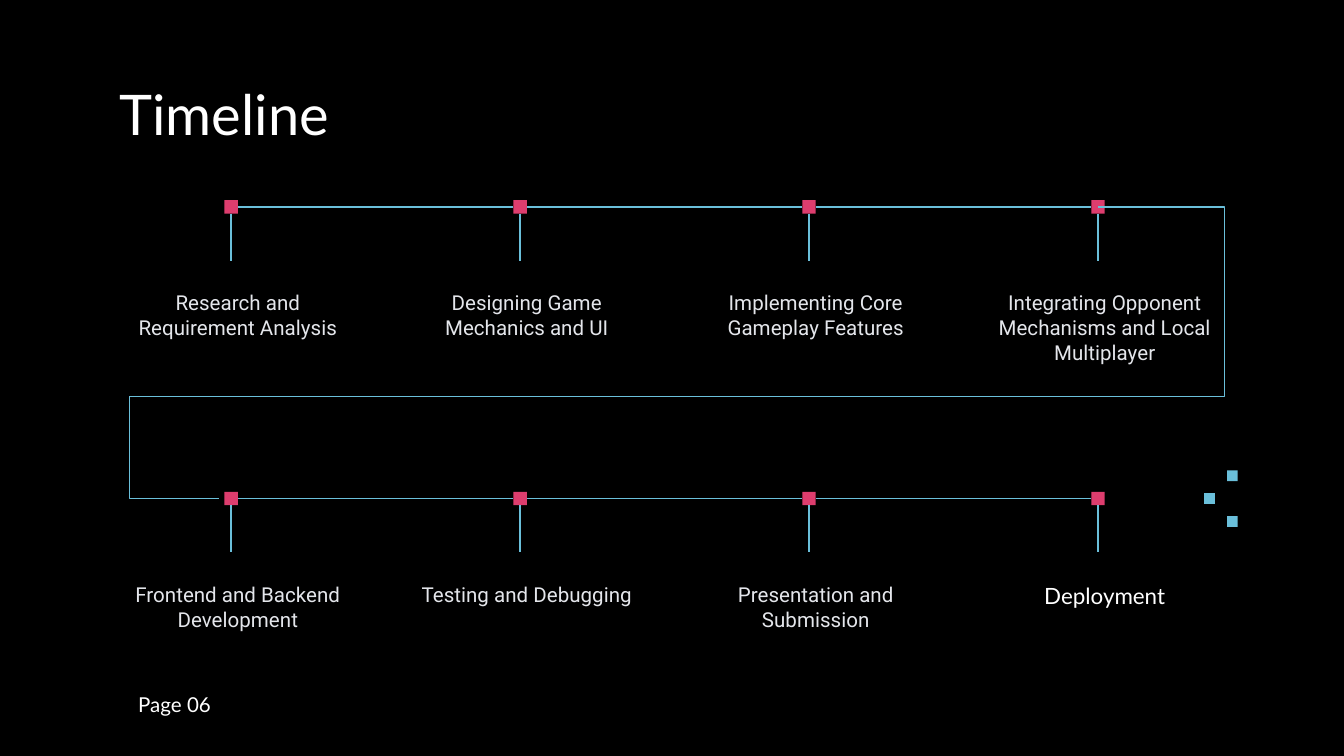
from lxml.etree import SubElement
from pptx import Presentation
from pptx.dml.color import RGBColor
from pptx.enum.shapes import MSO_CONNECTOR, MSO_SHAPE
from pptx.enum.text import MSO_ANCHOR, MSO_AUTO_SIZE, PP_ALIGN
from pptx.oxml.ns import qn
from pptx.util import Inches, Pt

BLACK, WHITE, GREY = "000000", "FFFFFF", "E4E6EB"
PINK, BLUE = "DD3D6E", "6ABFDA"
WIDTH = 10
HEIGHT = WIDTH * 9 / 16
COLUMN = 2.15
MARKER = 0.1
STEM = 0.35
LABEL_WIDTH, LABEL_HEIGHT = 1.98, 0.67
LABEL_DROP = 0.57
ROW_LEFT = 1.72 - COLUMN / 2
ROW_BOXES = [(ROW_LEFT, top, 4 * COLUMN, 1.24) for top in (1.49, 3.66)]
STEPS = [
    [
        ("Research and Requirement Analysis", 11, "Roboto", GREY),
        ("Designing Game Mechanics and UI", 11, "Roboto", GREY),
        ("Implementing Core Gameplay Features", 11, "Roboto", GREY),
        ("Integrating Opponent Mechanisms and Local Multiplayer", 11, "Roboto", GREY),
    ],
    [
        ("Frontend and Backend Development", 11, "Roboto", GREY),
        ("Testing and Debugging", 11, "Roboto", GREY),
        ("Presentation and Submission", 11, "Roboto", GREY),
        ("Deployment", 12, "Lato", WHITE),
    ],
]


def paint(fill, color):
    fill.solid()
    fill.fore_color.rgb = RGBColor.from_string(color)


def write(sp, text, size, font, color, align=PP_ALIGN.LEFT, inset=0.1):
    tf = sp.text_frame
    tf.word_wrap = True
    tf.auto_size = MSO_AUTO_SIZE.NONE
    tf.vertical_anchor = MSO_ANCHOR.TOP
    tf.margin_left = tf.margin_right = Inches(0.1)
    tf.margin_top = tf.margin_bottom = Inches(inset)
    p = tf.paragraphs[0]
    p.alignment = align
    r = p.add_run()
    r.text = text
    r.font.size = Pt(size)
    r.font.name = font
    r.font.color.rgb = RGBColor.from_string(color)


def add_text(s, box, *style, **layout):
    write(s.shapes.add_textbox(*map(Inches, box)), *style, **layout)


def add_square(shapes, x, y, side, color):
    sp = shapes.add_shape(MSO_SHAPE.RECTANGLE, *map(Inches, (x, y, side, side)))
    sp.shadow.inherit = False
    paint(sp.fill, color)
    sp.line.fill.background()


def add_line(s, start, end, kind=MSO_CONNECTOR.STRAIGHT):
    line = s.shapes.add_connector(kind, *map(Inches, (*start, *end)))
    line.line.width = Pt(0.75)
    paint(line.line.fill, BLUE)
    SubElement(line._element.spPr, qn("a:effectLst"))
    return line


def add_title(s, box):
    sp = s.shapes.title
    sp.left, sp.top, sp.width, sp.height = map(Inches, box)
    write(sp, "Timeline", 30, "Lato", WHITE)


def add_timeline_row(s, box, steps):
    left, top, width, _ = box
    column = width / len(steps)
    half = MARKER / 2
    axis = top + half
    for i, (text, size, font, color) in enumerate(steps):
        x = left + (i + 0.5) * column
        add_square(s.shapes, x - half, top, MARKER, PINK)
        add_line(s, (x, axis + half), (x, axis + half + STEM))
        if i < len(steps) - 1:
            add_line(s, (x + half, axis), (x + column - half, axis))
        label_left = x + half - LABEL_WIDTH / 2
        label = (label_left, top + LABEL_DROP, LABEL_WIDTH, LABEL_HEIGHT)
        add_text(s, label, text, size, font, color, align=PP_ALIGN.CENTER)


def add_row_link(s, start, end, right, middle, left):
    line = add_line(s, start, end, MSO_CONNECTOR.ELBOW)
    geometry = line._element.spPr.find(qn("a:prstGeom"))
    geometry.set("prst", "bentConnector5")
    guides = geometry.find(qn("a:avLst"))
    if guides is None:
        guides = SubElement(geometry, qn("a:avLst"))
    run, drop = start[0] - end[0], end[1] - start[1]
    shares = [
        (start[0] - right) / run,
        (middle - start[1]) / drop,
        (start[0] - left) / run,
    ]
    for i, share in enumerate(shares, 1):
        guide = SubElement(guides, qn("a:gd"))
        guide.set("name", f"adj{i}")
        guide.set("fmla", f"val {round(share * 100000)}")


def add_dots(s, box):
    left, top, width, height = box
    side = 0.08
    group = s.shapes.add_group_shape()
    for across, down in [(1, 0), (0, 0.5), (1, 1)]:
        x = left + across * (width - side)
        y = top + down * (height - side)
        add_square(group.shapes, x, y, side, BLUE)


def add_page_number(s, box):
    add_text(s, box, "Page 06", 11, "Lato", WHITE, inset=0.05)


def main():
    prs = Presentation()
    prs.slide_width, prs.slide_height = Inches(WIDTH), Inches(HEIGHT)
    s = prs.slides.add_slide(prs.slide_layouts[5])
    paint(s.background.fill, BLACK)
    add_title(s, (0.79, 0.49, 8.43, 0.63))
    for box, steps in zip(ROW_BOXES, STEPS):
        add_timeline_row(s, box, steps)
    add_row_link(s, (8.17, 1.54), (1.63, 3.71), right=9.11, middle=2.95, left=0.96)
    add_dots(s, (8.96, 3.5, 0.25, 0.42))
    add_page_number(s, (0.93, 5.1, 3, 0.29))
    prs.save("out.pptx")


if __name__ == "__main__":
    main()
